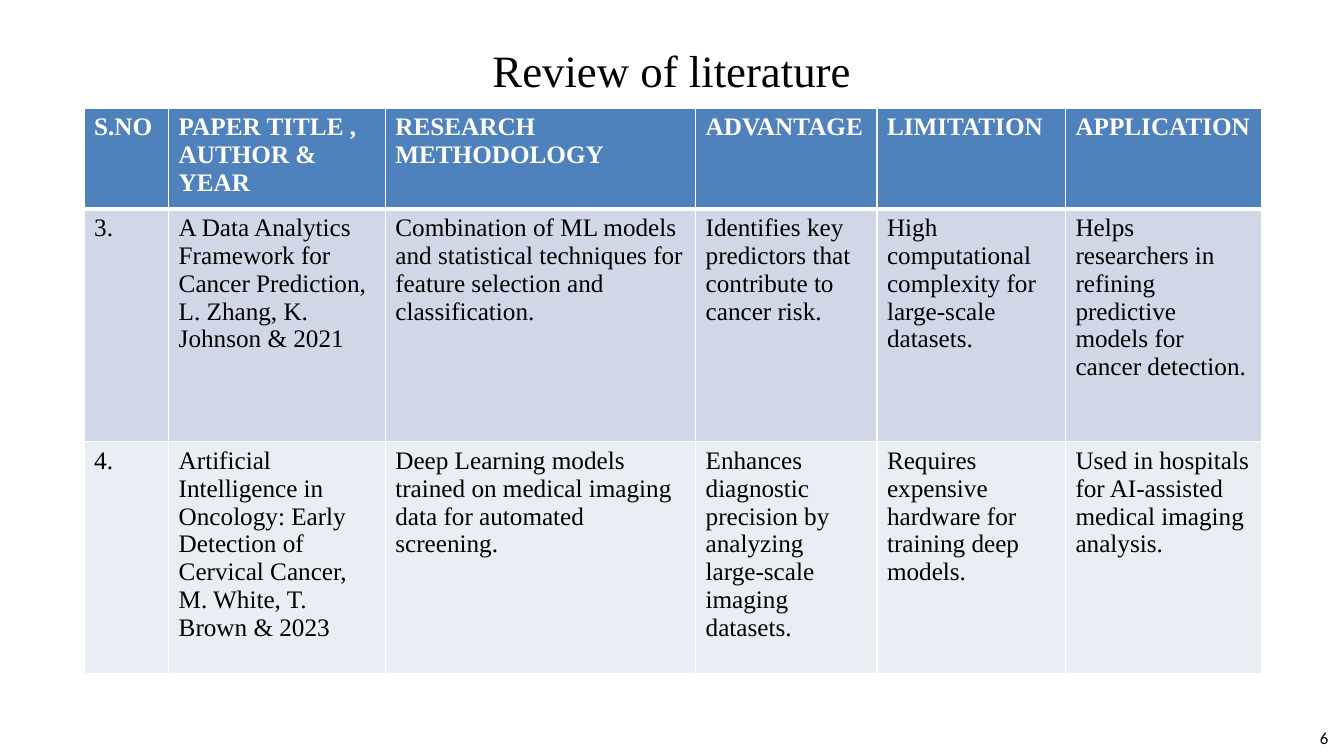
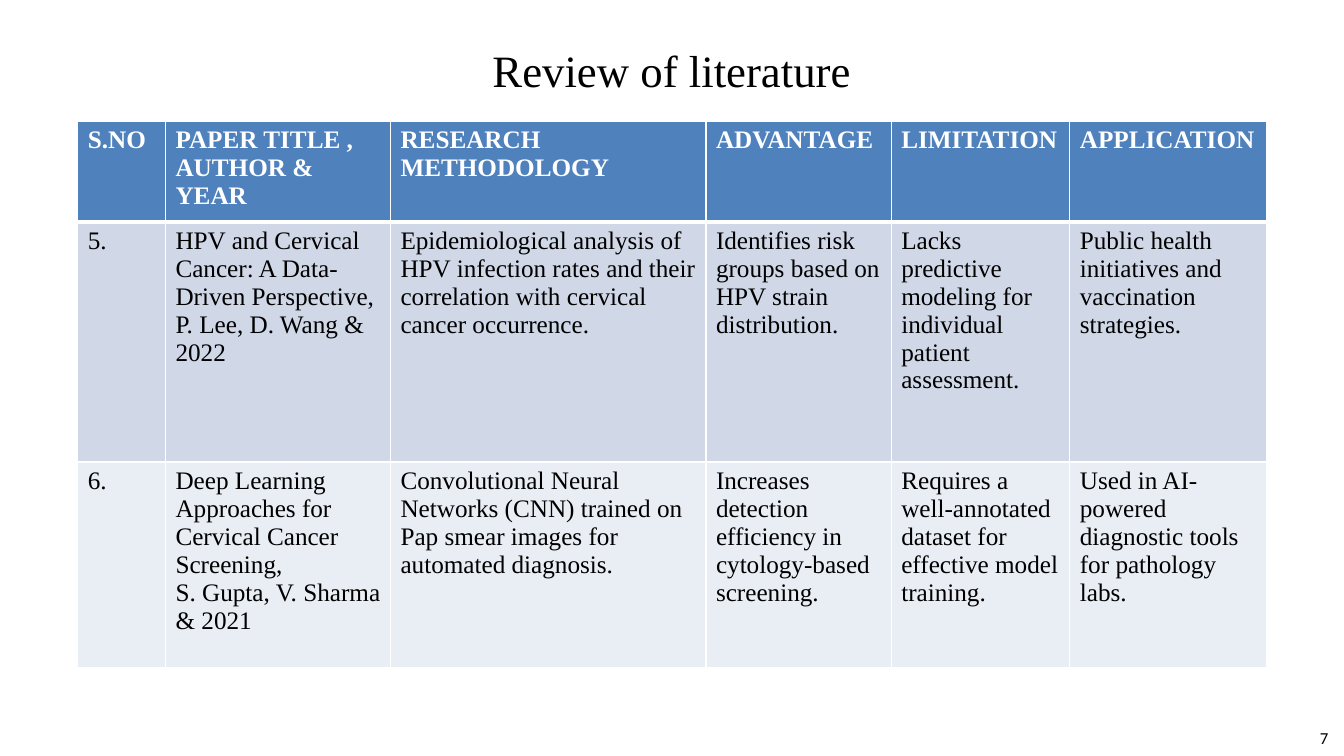
from lxml import etree
from pptx import Presentation
from pptx.dml.color import RGBColor
from pptx.enum import text
from pptx.oxml import ns
from pptx.util import Cm, Pt

COLORS = {"ink": "000000", "paper": "FFFFFF", "header": "4F81BD",
          "odd": "D0D8E8", "even": "E9EDF4"}
SERIF, SANS = "Times New Roman", "Calibri"

HEADINGS = ["S.NO", "PAPER TITLE , AUTHOR & YEAR", "RESEARCH METHODOLOGY",
            "ADVANTAGE", "LIMITATION", "APPLICATION"]

REVIEWS = [
    {
        "number": 6, "corner": (2.12, 2.72),
        "columns": [2.13, 5.46, 7.82, 4.57, 4.75, 4.95],
        "heights": [2.48, 5.87, 5.85],
        "papers": [
            ["3.",
             "A Data Analytics Framework for Cancer Prediction, "
             "L. Zhang, K. Johnson & 2021",
             "Combination of ML models and statistical techniques for "
             "feature selection and classification.",
             "Identifies key predictors that contribute to cancer risk.",
             "High computational complexity for large-scale datasets.",
             "Helps researchers in refining predictive models for "
             "cancer detection."],
            ["4.",
             "Artificial Intelligence in Oncology: Early Detection of "
             "Cervical Cancer,\nM. White, T. Brown & 2023",
             "Deep Learning models trained on medical imaging data for "
             "automated screening.",
             "Enhances diagnostic precision by analyzing large-scale "
             "imaging datasets.",
             "Requires expensive hardware for training deep models.",
             "Used in hospitals for AI-assisted medical imaging analysis."],
        ],
    },
    {
        "number": 7, "corner": (1.96, 3.05),
        "columns": [2.21, 5.67, 7.95, 4.67, 4.5, 4.97],
        "heights": [2.34, 6.05, 5.18],
        "papers": [
            ["5.",
             "HPV and Cervical Cancer: A Data-Driven Perspective,\n"
             "P. Lee, D. Wang & 2022",
             "Epidemiological analysis of HPV infection rates and their "
             "correlation with cervical cancer occurrence.",
             "Identifies risk groups based on HPV strain distribution.",
             "Lacks predictive modeling for individual patient assessment.",
             "Public health initiatives and vaccination strategies."],
            ["6.",
             "Deep Learning Approaches for Cervical Cancer Screening,\n"
             "S. Gupta, V. Sharma & 2021",
             "Convolutional Neural Networks (CNN) trained on Pap smear "
             "images for automated diagnosis.",
             "Increases detection efficiency in cytology-based screening.",
             "Requires a well-annotated dataset for effective model "
             "training.",
             "Used in AI-powered diagnostic tools for pathology labs."],
        ],
    },
]


class Deck:
    """Holds the shared style and the slide being built."""

    def __init__(self):
        self.prs = Presentation()
        self.prs.slide_width, self.prs.slide_height = Cm(33.87), Cm(19.05)
        self.slide = None

    def new_slide(self):
        self.slide = self.prs.slides.add_slide(self.prs.slide_layouts[6])

    def add_text(self, frame, content, size, font=SERIF, color="ink",
                 bold=False, align=text.PP_ALIGN.LEFT, spacing=None):
        """Fill a text frame, one paragraph per line of content."""
        frame.word_wrap = True
        for index, line in enumerate(content.split("\n")):
            paragraph = frame.add_paragraph() if index else frame.paragraphs[0]
            paragraph.alignment = align
            paragraph.line_spacing = spacing
            run = paragraph.add_run()
            run.text = line
            run.font.name, run.font.size, run.font.bold = font, Pt(size), bold
            run.font.color.rgb = RGBColor.from_string(COLORS[color])

    def text_box(self, left, top, width, height):
        box = self.slide.shapes.add_textbox(
            Cm(left), Cm(top), Cm(width), Cm(height))
        return box.text_frame

    def title(self, content):
        frame = self.text_box(1.69, 0.64, 30.48, 1.57)
        frame.vertical_anchor = text.MSO_ANCHOR.MIDDLE
        self.add_text(frame, content, 32, align=text.PP_ALIGN.CENTER,
                      spacing=1.5)

    def page_number(self, number):
        frame = self.text_box(30.35, 18.21, 3.38, 0.76)
        self.add_text(frame, str(number), 12, SANS, align=text.PP_ALIGN.RIGHT)

    def borders(self, cell, **widths):
        """Draw cell borders; widths in points, keyed by side L, R, T, B."""
        properties = cell._tc.get_or_add_tcPr()
        for side, width in widths.items():
            line = etree.SubElement(properties, ns.qn(f"a:ln{side}"),
                                    w=str(Pt(width)))
            fill = etree.SubElement(line, ns.qn("a:solidFill"))
            etree.SubElement(fill, ns.qn("a:srgbClr"), val=COLORS["paper"])

    def table(self, corner, columns, heights, rows):
        left, top = corner
        grid = self.slide.shapes.add_table(
            len(rows), len(columns), Cm(left), Cm(top),
            Cm(sum(columns)), Cm(sum(heights))).table
        for column, width in zip(grid.columns, columns):
            column.width = Cm(width)
        for index, (row, height) in enumerate(zip(grid.rows, heights)):
            row.height = Cm(height)
            header = index == 0
            shade = "header" if header else "odd" if index % 2 else "even"
            for cell, content in zip(row.cells, rows[index]):
                self.borders(cell, L=1, R=1, T=3 if index == 1 else 1,
                             B=3 if header else 1)
                cell.fill.solid()
                cell.fill.fore_color.rgb = RGBColor.from_string(COLORS[shade])
                self.add_text(cell.text_frame, content, 18, bold=header,
                              color="paper" if header else "ink")


def main():
    deck = Deck()
    for review in REVIEWS:
        deck.new_slide()
        deck.page_number(review["number"])
        deck.title("Review of literature")
        deck.table(review["corner"], review["columns"], review["heights"],
                   [HEADINGS] + review["papers"])
    deck.prs.save("out.pptx")


if __name__ == "__main__":
    main()
